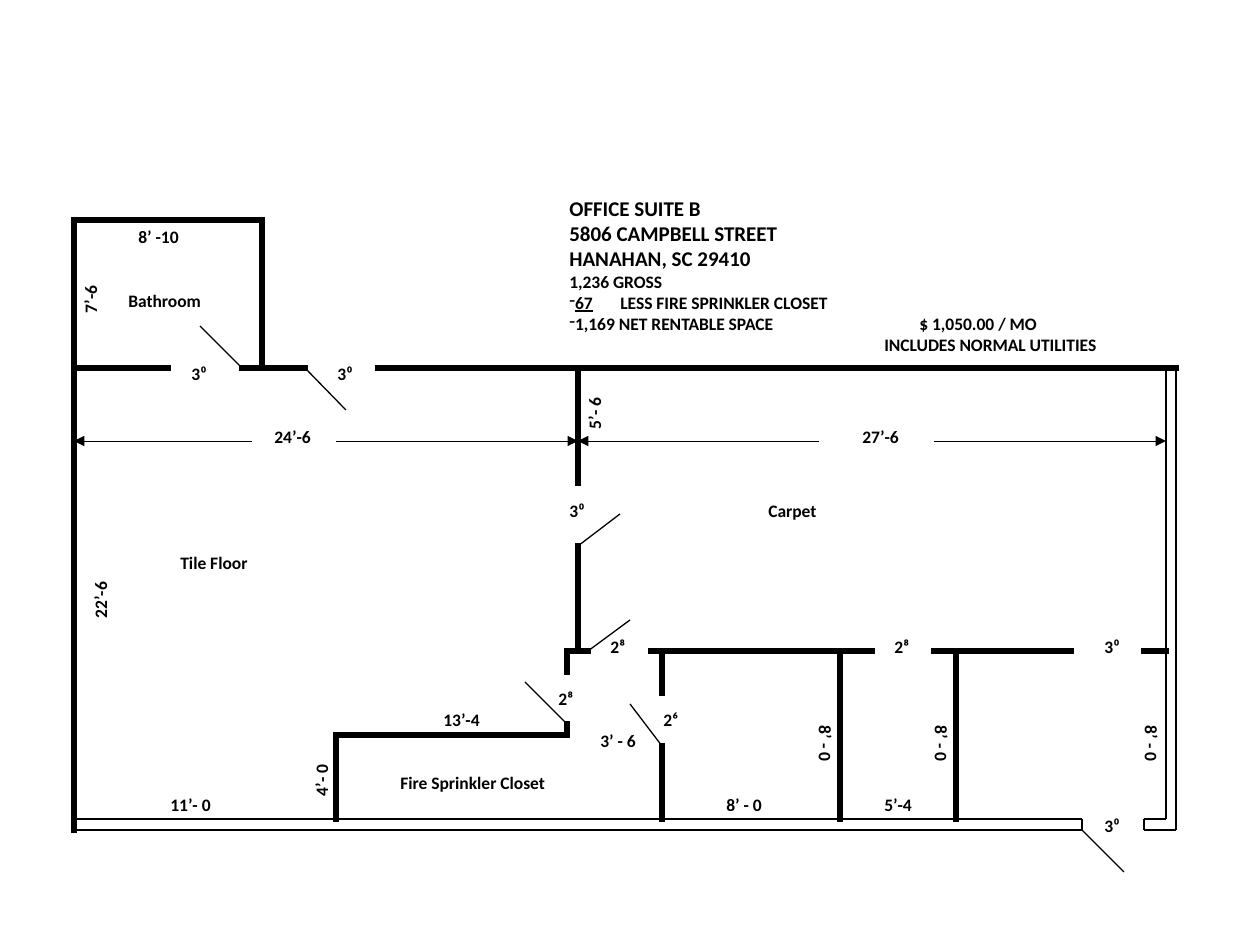
from pptx import Presentation
from pptx.dml.color import RGBColor
from pptx.enum import shapes, text
from pptx.oxml import ns
from pptx.util import Pt
from lxml import etree

BLACK = RGBColor(0, 0, 0)
SCALE = 914400 / 126
FONT = {"name": "Calibri", "bold": True}
FRAME = {"word_wrap": True, "auto_size": text.MSO_AUTO_SIZE.SHAPE_TO_FIT_TEXT}
WALL = {"width": 3, "cap": "sq"}
THIN = {"width": 0.75}
DIMENSION = {"width": 0.25, "arrow": True}
LABEL_W, LABEL_H = 189, 34


def emu(pixels):
    return round(pixels * SCALE)


def add_child(parent, tag, **attributes):
    return etree.SubElement(parent, ns.qn(tag), attributes)


def draw_lines(slide, box, style, lines):
    left, top = box[:2]
    for x1, y1, x2, y2 in lines:
        segment = slide.shapes.add_connector(
            shapes.MSO_CONNECTOR.STRAIGHT,
            emu(left + x1), emu(top + y1), emu(left + x2), emu(top + y2))
        segment.line.color.rgb = BLACK
        segment.line.width = Pt(style["width"])
        outline = segment.line._get_or_add_ln()
        if "cap" in style:
            outline.set("cap", style["cap"])
        if "arrow" in style:
            add_child(outline, "a:tailEnd", type="triangle")
        add_child(segment._element.spPr, "a:effectLst")


def add_frame(slide, left, top, width, height, rotation=0):
    frame = slide.shapes.add_textbox(emu(left), emu(top), emu(width), emu(height))
    frame.rotation = rotation
    for name, value in FRAME.items():
        setattr(frame.text_frame, name, value)
    return frame.text_frame


def add_run(paragraph, words, size=10, underline=None):
    run = paragraph.add_run()
    run.text = words
    for name, value in {**FONT, "size": Pt(size), "underline": underline}.items():
        setattr(run.font, name, value)
    run.font.color.rgb = BLACK


def add_labels(slide, box, labels):
    left, top = box[:2]
    for words, x, y, *rotation in labels:
        frame = add_frame(slide, left + x, top + y, LABEL_W, LABEL_H, *rotation)
        add_run(frame.paragraphs[0], words)


def heading(slide, box):
    lines = [
        # size, bullet, indent, tab stops, runs with their underline
        (12, False, 0, [], [("OFFICE SUITE B", None)]),
        (12, False, 0, [], [("5806 CAMPBELL STREET", None)]),
        (12, False, 0, [], [("HANAHAN, SC 29410", None)]),
        (10, False, 0, [], [("1,236 GROSS", None)]),
        (10, True, 0, [39, 51],
         [("67\t", True), ("\tLESS FIRE SPRINKLER CLOSET", None)]),
        (10, True, 0, [350], [("1,169 NET RENTABLE SPACE\t$ 1,050.00 / MO", None)]),
        (10, False, 315, [], [("INCLUDES NORMAL UTILITIES", None)]),
    ]
    frame = add_frame(slide, *box)
    for index, (size, bullet, indent, stops, runs) in enumerate(lines):
        paragraph = frame.add_paragraph() if index else frame.paragraphs[0]
        properties = paragraph._p.get_or_add_pPr()
        properties.set("marL", str(emu(indent)))
        properties.set("indent", "0")
        if bullet:
            add_child(properties, "a:buChar", char="-")
        if stops:
            tabs = add_child(properties, "a:tabLst")
            for stop in stops:
                add_child(tabs, "a:tab", pos=str(emu(stop)), algn="l")
        for words, underline in runs:
            add_run(paragraph, words, size, underline)


def outer_walls(slide, box):
    w, h = box[2:]
    inner, door, jamb = h - 11, 1008, 1070
    draw_lines(slide, box, THIN, [
        (0, h, door, h), (0, inner, door, inner),
        (jamb, h, w, h), (jamb, inner, w - 10, inner),
        (door, h, door, inner), (jamb, h, jamb, inner),
        (w, 0, w, h), (w - 10, 0, w - 10, inner),
        (door + 42, h + 42, door, h)])
    add_labels(slide, box, [("3⁰", 1018, 441)])


def bathroom(slide, box):
    w, h = box[2:]
    draw_lines(slide, box, WALL, [
        (0, 0, w, 0), (w, 0, w, h), (0, h, 94, h), (168, h, 231, h)])
    draw_lines(slide, box, THIN, [(168, h, 126, h - 42)])
    add_labels(slide, box, [
        ("Bathroom", 42, 64), ("8’ -10", 52, 0),
        ("7’-6", -78, -6, 270), ("3⁰", 105, 137)])


def tile_room(slide, box):
    w, h = box[2:]
    draw_lines(slide, box, WALL, [(0, -148, 0, h + 11)])
    draw_lines(slide, box, THIN, [(272, 42, 231, 0)])
    draw_lines(slide, box, DIMENSION, [(262, 73, w, 73), (178, 73, 0, 73)])
    add_labels(slide, box, [
        ("Tile Floor", 94, 178), ("22’-6", -68, 151, 270),
        ("24’-6", 188, 52), ("3⁰", 251, -11), ("11’- 0", 84, 420)])


def carpet_room(slide, box):
    w, h = box[2:]
    draw_lines(slide, box, WALL, [
        (-200, 0, w + 10, 0), (0, 0, 0, 115), (0, 178, 0, h),
        (-11, h, 10, h), (73, h, 294, h), (356, h, 493, h), (566, h, w, h)])
    draw_lines(slide, box, THIN, [(0, 178, 42, 146), (10, h, 52, h - 31)])
    draw_lines(slide, box, DIMENSION, [(356, 73, w, 73), (241, 73, 0, 73)])
    add_labels(slide, box, [
        ("Carpet", 178, 126), ("27’-6", 272, 52), ("5’- 6", -78, -38, 270),
        ("3⁰", -21, 126), ("2⁸", 20, 262), ("2⁸", 304, 262), ("3⁰", 514, 262)])


def sprinkler_closet(slide, box):
    w, h = box[2:]
    draw_lines(slide, box, WALL, [
        (0, 84, 0, h), (0, 84, w, 84), (w, 0, w, 21), (w, 73, w, 84)])
    draw_lines(slide, box, THIN, [(w, 73, w - 42, 31)])
    add_labels(slide, box, [
        ("Fire Sprinkler Closet", 52, 115), ("13’-4", 95, 52),
        ("4’- 0", -109, 46, 270), ("2⁸", 210, 31), ("3’ - 6", 252, 73)])


def small_rooms(slide, box):
    w, h = box[2:]
    partitions = [178, 294]
    draw_lines(slide, box, WALL, [(0, 0, 0, 42), (0, 95, 0, h)])
    draw_lines(slide, box, WALL, [(x, 0, x, h) for x in partitions])
    draw_lines(slide, box, THIN, [(0, 95, -32, 53)])
    add_labels(slide, box, [
        ("2⁶", -11, 52), ("8’ - 0", 52, 137), ("5’-4", 210, 137)])
    # Depth beside the right wall of each room
    add_labels(slide, box, [
        ("8’ - 0", x - 109, 140, 90) for x in [*partitions, w]])


presentation = Presentation()
presentation.slide_width, presentation.slide_height = emu(1260), emu(945)
plan = presentation.slides.add_slide(presentation.slide_layouts[6])

# Regions: left, top, width, height
outer_walls(plan, (74, 368, 1102, 462))
bathroom(plan, (74, 220, 188, 148))
tile_room(plan, (74, 368, 504, 451))
carpet_room(plan, (578, 368, 588, 283))
sprinkler_closet(plan, (336, 651, 231, 168))
small_rooms(plan, (662, 651, 504, 168))
heading(plan, (557, 189, 567, 174))

presentation.save("out.pptx")
